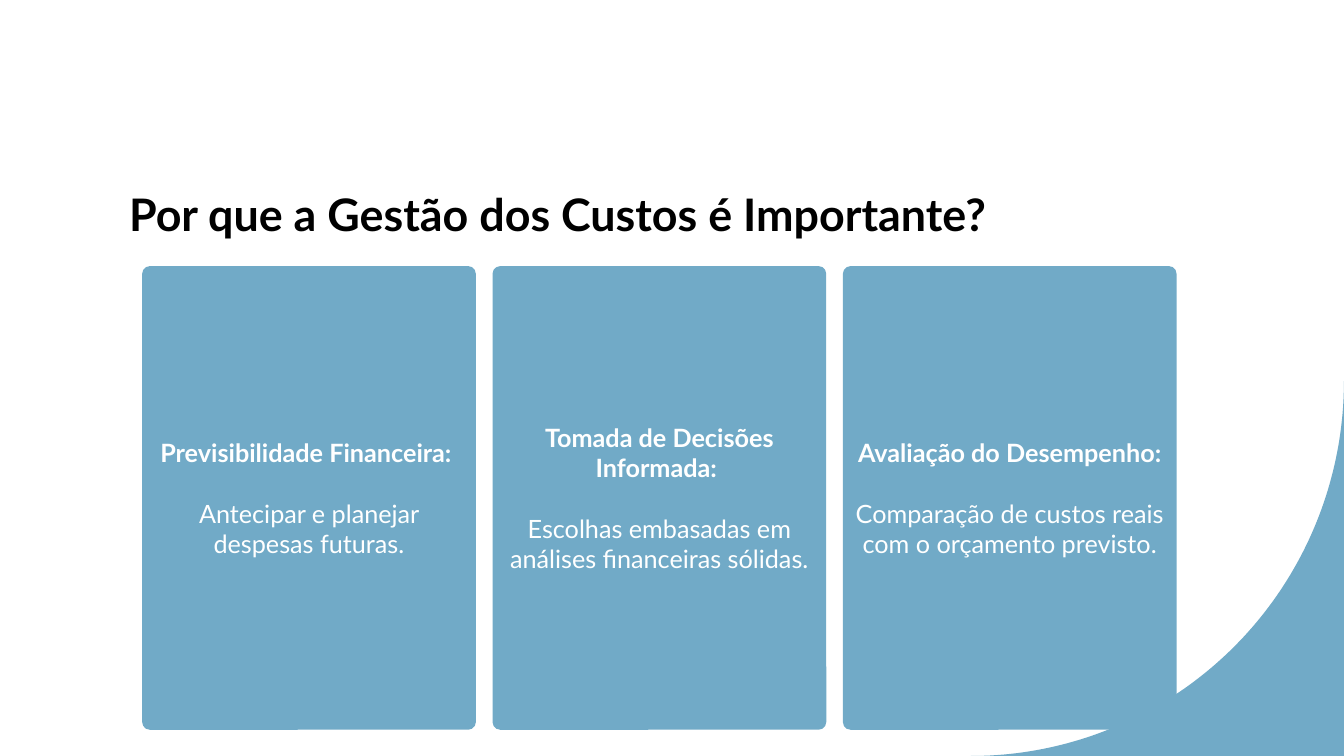
from math import cos, pi, sin

from pptx import Presentation
from pptx.dml.color import RGBColor
from pptx.enum.shapes import MSO_SHAPE
from pptx.enum.text import MSO_ANCHOR, MSO_AUTO_SIZE, PP_ALIGN
from pptx.util import Pt

ROUND_RECT = MSO_SHAPE.ROUNDED_RECTANGLE
MIDDLE, BOTTOM = MSO_ANCHOR.MIDDLE, MSO_ANCHOR.BOTTOM
LEFT, CENTER = PP_ALIGN.LEFT, PP_ALIGN.CENTER
NO_FIT = MSO_AUTO_SIZE.NONE

PX = 9144  # 100 px to the inch
SLIDE_W, SLIDE_H = 1333, 750
FONT = "Lato"
COLORS = {"blue": "71AAC7", "black": "000000", "white": "FFFFFF"}


def write(p, text, size=18, color="white", bold=False, align=CENTER, before=0, spacing=1.0):
    p.alignment = align
    p.space_before = Pt(before)
    p.line_spacing = spacing
    r = p.add_run()
    r.text = text
    r.font.name = FONT
    r.font.size = Pt(size)
    r.font.bold = bold
    r.font.color.rgb = RGBColor.from_string(COLORS[color])


def paint(sp, color):
    sp.shadow.inherit = False
    sp.fill.solid()
    sp.fill.fore_color.rgb = RGBColor.from_string(COLORS[color])
    sp.line.fill.background()


prs = Presentation()
prs.slide_width, prs.slide_height = SLIDE_W * PX, SLIDE_H * PX
s = prs.slides.add_slide(prs.slide_layouts[5])

# Bottom right corner, cut by a quarter ellipse
CURVE_X, CURVE_Y, STEPS = 963, 378, 90
angles = [i * pi / 2 / STEPS for i in range(STEPS + 1)]
curve = [(round((CURVE_X + (SLIDE_W - CURVE_X) * cos(a)) * PX),
          round((CURVE_Y + (SLIDE_H - CURVE_Y) * sin(a)) * PX)) for a in angles]
builder = s.shapes.build_freeform(SLIDE_W * PX, SLIDE_H * PX)
builder.add_line_segments(curve, close=True)
paint(builder.convert_to_shape(), "blue")

# Title
title = s.shapes.title
title.left, title.top, title.width, title.height = [v * PX for v in (118, 79, 1088, 165)]
tf = title.text_frame
tf.word_wrap = True
tf.auto_size = NO_FIT
tf.vertical_anchor = BOTTOM
write(tf.paragraphs[0], "Por que a Gestão dos Custos é Importante?",
      size=32, color="black", bold=True, align=LEFT, spacing=1.1)

# Cards, spread evenly from the first left edge to the last
FIRST_X, LAST_X = 141, 836
CARD_Y, CARD_W, CARD_H = 264, 331, 460
cards = [
    ("Previsibilidade Financeira: ", "Antecipar e planejar despesas futuras."),
    ("Tomada de Decisões Informada: ", "Escolhas embasadas em análises financeiras sólidas."),
    ("Avaliação do Desempenho:", "Comparação de custos reais com o orçamento previsto."),
]
pitch = (LAST_X - FIRST_X) / (len(cards) - 1)
for i, (heading, body) in enumerate(cards):
    x = round((FIRST_X + i * pitch) * PX)
    sp = s.shapes.add_shape(ROUND_RECT, x, CARD_Y * PX, CARD_W * PX, CARD_H * PX)
    sp.adjustments[0] = 0.023
    paint(sp, "blue")
    tf = sp.text_frame
    tf.word_wrap = True
    tf.vertical_anchor = MIDDLE
    write(tf.paragraphs[0], heading, bold=True)
    write(tf.add_paragraph(), body, before=21.5)

prs.save("out.pptx")
